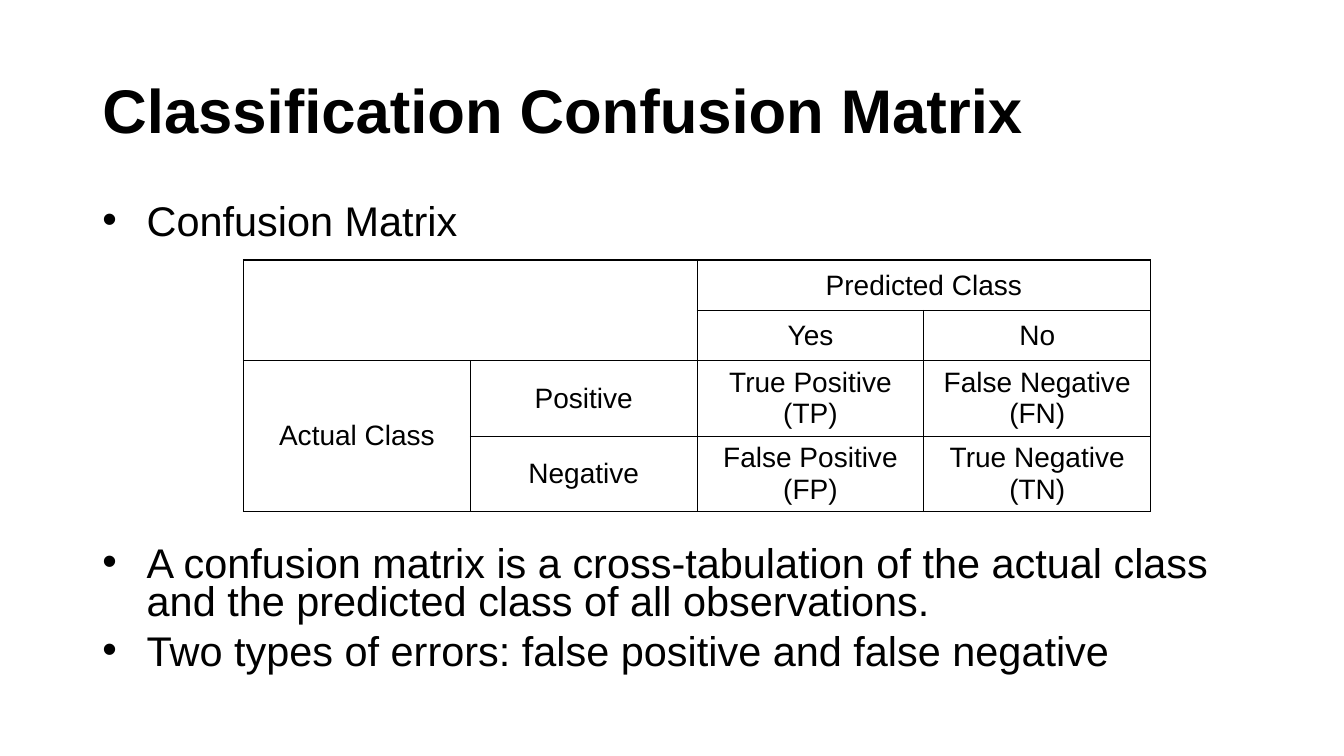
from lxml.etree import SubElement
from pptx import Presentation
from pptx.dml.color import RGBColor as RGB
from pptx.enum.text import MSO_ANCHOR as ANCHOR, PP_ALIGN as ALIGN
from pptx.oxml import parse_xml
from pptx.oxml.ns import nsdecls, qn
from pptx.util import Inches, Pt

COLORS = {"ink": "000000"}
BULLETS = [
    ("Confusion Matrix", 10),
    ("A confusion matrix is a cross-tabulation of the actual class "
     "and the predicted class of all observations.", 218),
    ("Two types of errors: false positive and false negative", 9),
]
MATRIX = [
    ["", "", "Predicted Class", ""],
    ["", "", "Yes", "No"],
    ["Actual Class", "Positive", "True Positive (TP)", "False Negative (FN)"],
    ["", "Negative", "False Positive\n(FP)", "True Negative\n(TN)"],
]
MERGES = [((0, 0), (1, 1)), ((0, 2), (0, 3)), ((2, 0), (3, 0))]


class Deck:
    """Places styled elements on a slide grid of 160 columns and 150 rows."""

    font = "Arial"

    def __init__(self):
        self.prs = Presentation()
        self.prs.slide_width, self.prs.slide_height = Inches(13.333), Inches(7.5)
        self.s = self.prs.slides.add_slide(self.prs.slide_layouts[5])

    def x(self, cols):
        return round(self.prs.slide_width * cols / 160)

    def y(self, rows):
        return round(self.prs.slide_height * rows / 150)

    def box(self, col, row, cols, rows):
        return self.x(col), self.y(row), self.x(cols), self.y(rows)

    def style(self, p, size, align=ALIGN.LEFT, bold=False):
        p.alignment = align
        p.font.name, p.font.size, p.font.bold = self.font, Pt(size), bold
        p.font.color.rgb = RGB.from_string(COLORS["ink"])

    def title(self, text, *area):
        sp = self.s.shapes.title
        sp.left, sp.top, sp.width, sp.height = self.box(*area)
        tf = sp.text_frame
        tf.text, tf.vertical_anchor = text, ANCHOR.MIDDLE
        self.style(tf.paragraphs[0], 44, bold=True)
        tf.paragraphs[0].line_spacing = 0.9

    def bullets(self, items, *area):
        tf = self.s.shapes.add_textbox(*self.box(*area)).text_frame
        tf.word_wrap = True
        tf.text = "\n".join(text for text, _ in items)
        for p, (_, before) in zip(tf.paragraphs, items):
            self.style(p, 29.6)
            p.line_spacing, p.space_before = 0.75, Pt(before)
            pPr = p._p.get_or_add_pPr()
            pPr.set("marL", str(Inches(0.44)))
            pPr.set("indent", str(-Inches(0.44)))
            bullet_font = parse_xml(f'<a:buFont {nsdecls("a")} typeface="{self.font}"/>')
            bullet = parse_xml(f'<a:buChar {nsdecls("a")} char="•"/>')
            pPr.find(qn("a:spcBef")).addnext(bullet_font)
            bullet_font.addnext(bullet)

    def borders(self, cell):
        tcPr = cell._tc.get_or_add_tcPr()
        for i, side in enumerate("LRTB"):
            ln = parse_xml(f'<a:ln{side} {nsdecls("a")} w="{Pt(1)}"/>')
            fill = SubElement(ln, qn("a:solidFill"))
            SubElement(fill, qn("a:srgbClr"), val=COLORS["ink"])
            tcPr.insert(i, ln)

    def table(self, data, merges, heights, *area):
        frame = self.s.shapes.add_table(len(data), len(data[0]), *self.box(*area))
        tbl = frame.table
        tbl.first_row = tbl.horz_banding = False
        for row, height in zip(tbl.rows, heights):
            row.height = self.y(height)
        for r, texts in enumerate(data):
            for c, text in enumerate(texts):
                cell = tbl.cell(r, c)
                cell.text, cell.vertical_anchor = text, ANCHOR.MIDDLE
                cell.margin_top = cell.margin_bottom = Inches(0.04)
                cell.fill.background()
                self.borders(cell)
                for p in cell.text_frame.paragraphs:
                    self.style(p, 20, ALIGN.CENTER)
        for start, end in merges:
            tbl.cell(*start).merge(tbl.cell(*end))


def main():
    deck = Deck()
    deck.title("Classification Confusion Matrix", 11, 8, 138, 29)
    deck.bullets(BULLETS, 11, 40, 138, 95)
    heights = [10, 10, 14.4, 14.4]
    deck.table(MATRIX, MERGES, heights, 29, 51.6, 108, sum(heights))
    deck.prs.save("out.pptx")


if __name__ == "__main__":
    main()
